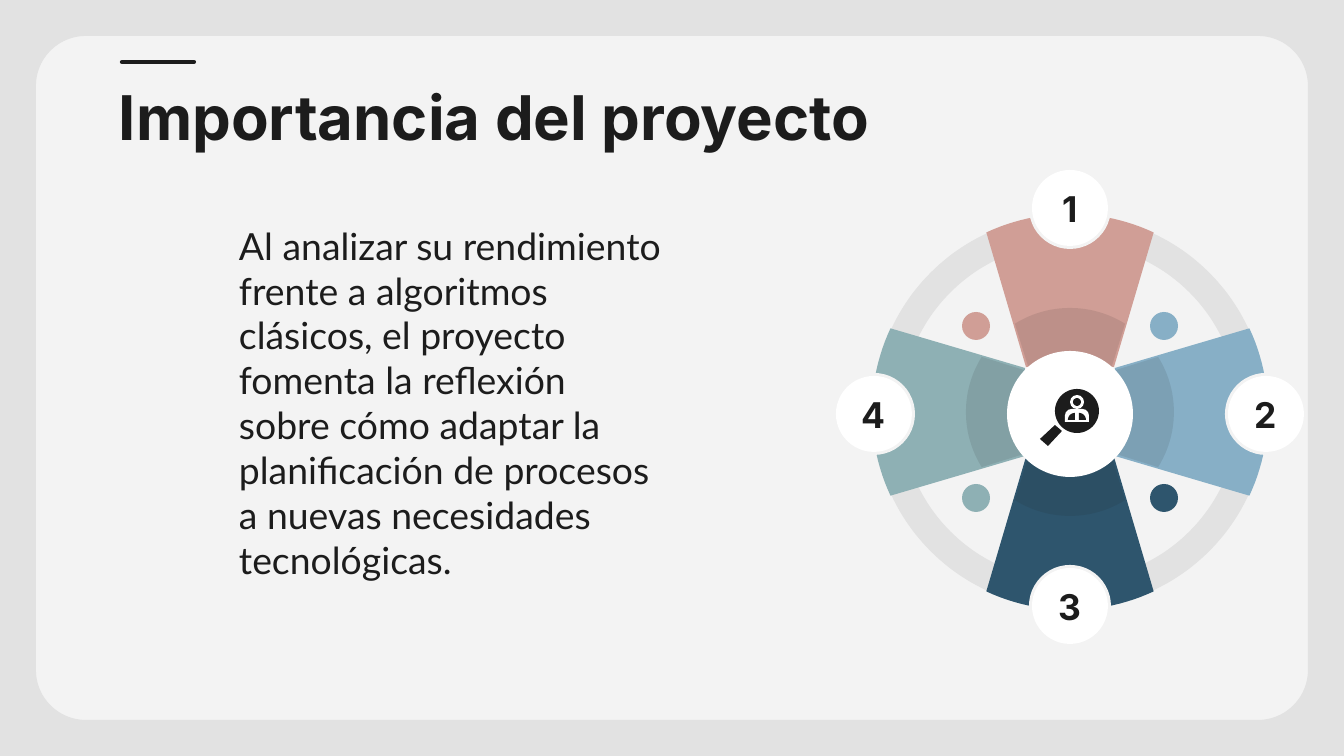
from collections import namedtuple
from math import cos, radians, sin

from lxml import etree
from pptx import Presentation
from pptx.dml.color import RGBColor
from pptx.enum.shapes import MSO_CONNECTOR, MSO_SHAPE
from pptx.enum.text import MSO_ANCHOR, PP_ALIGN
from pptx.oxml.ns import qn
from pptx.util import Emu, Pt

SCALE = 914400 / 134.4
ELLIPSE = MSO_SHAPE.OVAL
ROUNDED_TOP = MSO_SHAPE.ROUND_2_SAME_RECTANGLE
STRAIGHT = MSO_CONNECTOR.STRAIGHT
TOP, MIDDLE = MSO_ANCHOR.TOP, MSO_ANCHOR.MIDDLE
LEFT, CENTER = PP_ALIGN.LEFT, PP_ALIGN.CENTER

INK = RGBColor(0x1C, 0x1C, 0x1C)
PAPER = RGBColor(0xF3, 0xF3, 0xF3)
GREY = RGBColor(0xE2, 0xE2, 0xE2)
WHITE = RGBColor(0xFF, 0xFF, 0xFF)
ROSE = RGBColor(0xD0, 0x9E, 0x96)
SKY = RGBColor(0x87, 0xAF, 0xC6)
NAVY = RGBColor(0x2E, 0x55, 0x6D)
SAGE = RGBColor(0x8E, 0xB0, 0xB4)

Box = namedtuple("Box", "left top width height")


def px(length):
    return Emu(round(length * SCALE))


def paint(shape, color, opacity=100):
    shape.shadow.inherit = False
    shape.fill.solid()
    shape.fill.fore_color.rgb = color
    shape.line.fill.background()
    if opacity < 100:
        tint = shape.fill._xPr.find(qn("a:solidFill"))[0]
        etree.SubElement(tint, qn("a:alpha")).set("val", str(opacity * 1000))
    return shape


def add_shape(shapes, kind, box, color):
    return paint(shapes.add_shape(kind, *map(px, box)), color)


def add_disc(shapes, x, y, radius, color):
    box = Box(x - radius, y - radius, 2 * radius, 2 * radius)
    return add_shape(shapes, ELLIPSE, box, color)


def arc(x, y, radius, start, end, steps=24):
    angles = [radians(start + (end - start) * i / steps) for i in range(steps + 1)]
    return [(x + radius * sin(a), y - radius * cos(a)) for a in angles]


def add_outline(shapes, contours, color, opacity=100):
    contours = [[(px(x), px(y)) for x, y in points] for points in contours]
    builder = shapes.build_freeform(*contours[0][0], scale=1.0)
    builder.add_line_segments(contours[0][1:], close=True)
    for points in contours[1:]:
        builder.move_to(*points[0])
        builder.add_line_segments(points[1:], close=True)
    return paint(builder.convert_to_shape(), color, opacity)


def put_text(shape, text, *, font, size, bold=False, align=LEFT, anchor=TOP, inset=0):
    frame = shape.text_frame
    frame.word_wrap = True
    frame.vertical_anchor = anchor
    frame.margin_left = frame.margin_right = px(inset)
    frame.margin_top = frame.margin_bottom = px(inset)
    para = frame.paragraphs[0]
    para.alignment = align
    span = para.add_run()
    span.text = text
    span.font.name = font
    span.font.size = Pt(size)
    span.font.bold = bold
    span.font.color.rgb = INK


def add_border(page, box, margin, radius):
    left, top = box.left + margin, box.top + margin
    right, bottom = box.left + box.width - margin, box.top + box.height - margin
    corners = [
        (right - radius, top + radius),
        (right - radius, bottom - radius),
        (left + radius, bottom - radius),
        (left + radius, top + radius),
    ]
    panel = [
        point
        for turn, (x, y) in enumerate(corners)
        for point in arc(x, y, radius, 90 * turn, 90 * turn + 90)
    ]
    edge_x, edge_y = box.left + box.width, box.top + box.height
    edge = [(box.left, box.top), (box.left, edge_y), (edge_x, edge_y), (edge_x, box.top)]
    add_outline(page.shapes, [edge, panel], GREY)


def add_heading(page, box, text):
    x, y = box.left + 16, box.top - 4
    rule = page.shapes.add_connector(STRAIGHT, px(x), px(y), px(x + 72), px(y))
    rule.line.color.rgb = INK
    rule.line.width = Pt(2.25)
    rule.line._get_or_add_ln().set("cap", "rnd")
    etree.SubElement(rule._element.spPr, qn("a:effectLst"))
    title = page.shapes.add_textbox(*map(px, box))
    put_text(title, text, font="Inter", size=33, bold=True, inset=13)


def add_body(page, box, text):
    body = page.shapes.add_textbox(*map(px, box))
    put_text(body, text, font="Lato", size=20, inset=13)


def blade(x, y, turn, foot, radius, spread):
    half, depth = foot
    a = radians(turn)
    base = [
        (x + side * cos(a) + depth * sin(a), y + side * sin(a) - depth * cos(a))
        for side in (half, -half)
    ]
    return base + arc(x, y, radius, turn - spread, turn + spread)


def add_person_lens(page, box):
    shapes = page.shapes.add_group_shape().shapes
    x, y = box.left + 37, box.top + 22
    add_disc(shapes, x, y, 22, INK)
    add_shape(shapes, ROUNDED_TOP, Box(x - 12, y - 2, 24, 13), WHITE).adjustments[0] = 0.5
    add_disc(shapes, x, y - 9, 7, WHITE)
    add_disc(shapes, x, y - 9, 4, INK)
    for middle, start in ((x - 2, 270), (x + 2, 0)):
        shoulder = [(middle, y + 9)] + arc(middle, y + 9, 7, start, start + 90)
        add_outline(shapes, [shoulder], INK)
    handle = [(x - 15, y + 20), (x - 22, y + 14), (x - 37, y + 28), (x - 29, y + 35)]
    add_outline(shapes, [handle], INK)


def add_wheel(page, box, colors):
    shapes = page.shapes.add_group_shape().shapes
    radius = box.width // 2
    x, y = box.left + radius, box.top + radius
    turns = [90 * i for i in range(len(colors))]
    for turn in turns:
        rim = arc(x, y, radius - 1, turn + 25, turn + 65)
        rim += arc(x, y, radius - 29, turn + 64, turn + 26)
        add_outline(shapes, [rim], GREY)
    for turn, color in zip(turns, colors):
        add_outline(shapes, [blade(x, y, turn, (44, 45), radius, 25)], color)
        add_outline(shapes, [blade(x, y, turn, (42, 46), 104, 32)], INK, opacity=10)
    add_disc(shapes, x, y + 2, 63, WHITE)
    badges = [(0, -204), (196, 2), (0, 194), (-196, 2)]
    for number, (dx, dy) in enumerate(badges, 1):
        add_disc(shapes, x + dx, y + dy, 41, PAPER)
        badge = add_disc(shapes, x + dx, y + dy, 38, WHITE)
        put_text(badge, str(number), font="Inter", size=19, bold=True,
                 align=CENTER, anchor=MIDDLE)
    dots = [(-94, -86), (94, -86), (94, 86), (-94, 86)]
    for (dx, dy), color in zip(dots, colors):
        add_disc(shapes, x + dx, y + dy, 14, color)
    add_person_lens(page, Box(x - 30, y - 23, 59, 57))


def main():
    deck = Presentation()
    deck.slide_width, deck.slide_height = px(1344), px(756)
    page = deck.slides.add_slide(deck.slide_layouts[6])
    page.background.fill.solid()
    page.background.fill.fore_color.rgb = PAPER
    add_border(page, Box(0, 0, 1344, 756), margin=36, radius=50)
    add_heading(page, Box(106, 66, 1133, 85), "Importancia del proyecto")
    add_wheel(page, Box(872, 214, 396, 396), [ROSE, SKY, NAVY, SAGE])
    add_body(
        page,
        Box(226, 210, 452, 409),
        "Al analizar su rendimiento frente a algoritmos clásicos, el proyecto "
        "fomenta la reflexión sobre cómo adaptar la planificación de procesos "
        "a nuevas necesidades tecnológicas.",
    )
    deck.save("out.pptx")


if __name__ == "__main__":
    main()
